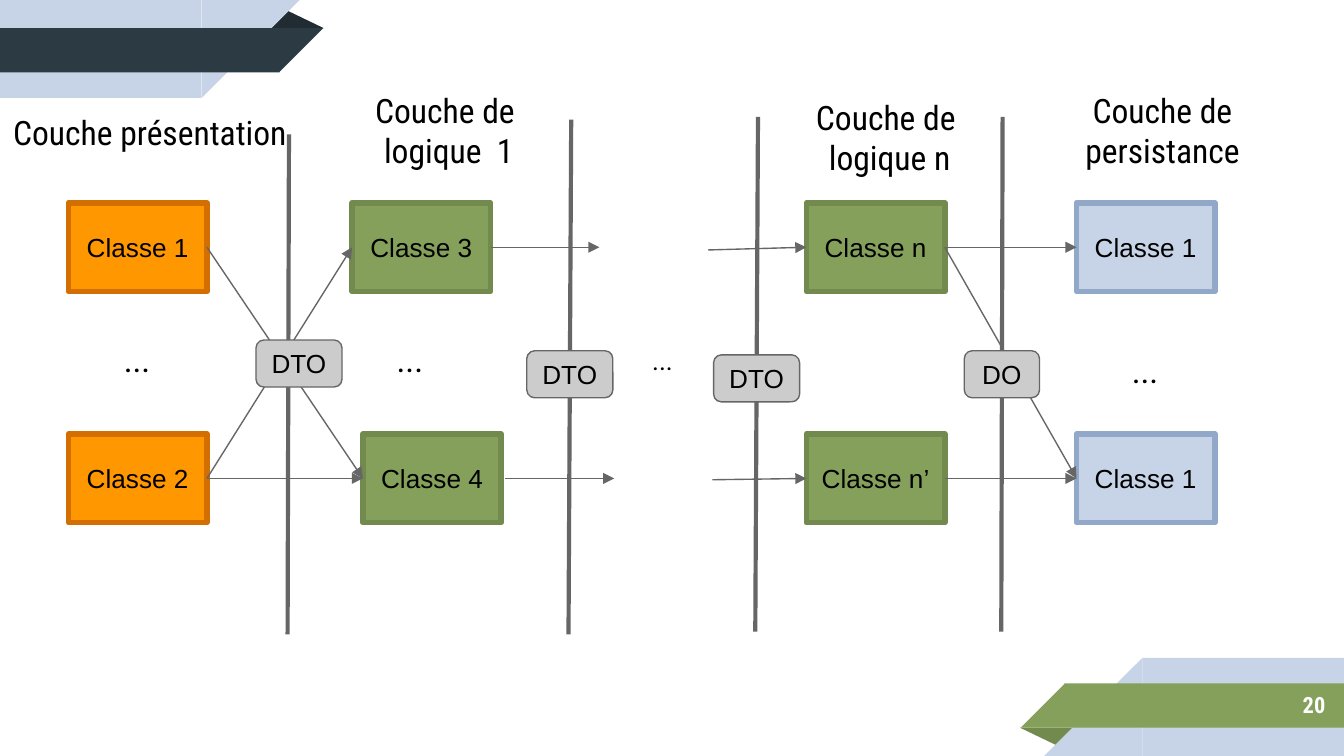
from dataclasses import dataclass

from lxml import etree
from pptx import Presentation
from pptx.dml.color import RGBColor
from pptx.enum.shapes import MSO_CONNECTOR, MSO_SHAPE
from pptx.enum.text import MSO_ANCHOR, PP_ALIGN
from pptx.oxml.ns import qn
from pptx.util import Inches, Pt

LINE = MSO_CONNECTOR.STRAIGHT
RECT, ROUND = MSO_SHAPE.RECTANGLE, MSO_SHAPE.ROUNDED_RECTANGLE
FOLD, WEDGE = MSO_SHAPE.ISOSCELES_TRIANGLE, MSO_SHAPE.RIGHT_TRIANGLE
TOP, MID = MSO_ANCHOR.TOP, MSO_ANCHOR.MIDDLE
LEFT, MIDST, RIGHT = PP_ALIGN.LEFT, PP_ALIGN.CENTER, PP_ALIGN.RIGHT

# Grid: 100 square cells across the slide, 56.25 down
WIDE, HIGH = 100, 56.25
CELL = Inches(10) / WIDE
CARD = 6.6          # card height
UP, LOW = 18.4, 35.6  # middle lines of the two card rows


@dataclass(frozen=True)
class Theme:
    head: str = "Roboto Condensed"
    body: str = "Arial"
    big: float = 18
    mid: float = 14
    small: float = 12
    thin: float = 0.75
    wall: float = 2.25
    edge: float = 3
    ink: str = "000000"
    white: str = "FFFFFF"
    gray: str = "666666"
    tag: str = "CCCCCC"
    pale: str = "C7D3E6"
    dark: tuple = ("2C3B43", "202C32")
    orange: tuple = ("FF9800", "D26F00")
    green: tuple = ("85A05B", "728A4E")
    blue: tuple = ("C7D3E6", "92A8C8")


T = Theme()


def grid(*cells):
    return [round(c * CELL) for c in cells]


def rgb(code):
    return RGBColor.from_string(code)


def write(shape, lines, face, size, align=MIDST, anchor=MID, color=T.ink, bold=False):
    frame = shape.text_frame
    frame.word_wrap = True
    frame.vertical_anchor = anchor
    frame.margin_left = frame.margin_right = Inches(0.1)
    frame.margin_top = frame.margin_bottom = Inches(0.1)
    frame.text = lines
    for para in frame.paragraphs:
        para.alignment = align
        font = para.font
        font.name, font.size, font.bold = face, Pt(size), bold
        font.color.rgb = rgb(color)


def label(slide, box, lines, size=T.big, **look):
    look = {"anchor": TOP, **look}
    write(slide.shapes.add_textbox(*grid(*box)), lines, T.head, size, **look)


def block(slide, kind, box, fill, edge=None, width=T.thin):
    shape = slide.shapes.add_shape(kind, *grid(*box))
    shape.shadow.inherit = False
    shape.fill.solid()
    shape.fill.fore_color.rgb = rgb(fill)
    if edge:
        shape.line.color.rgb = rgb(edge)
        shape.line.width = Pt(width)
    else:
        shape.line.fill.background()
    return shape


def link(slide, ends, width=T.thin, arrow=True):
    line = slide.shapes.add_connector(LINE, *grid(*ends))
    line.line.color.rgb = rgb(T.gray)
    line.line.width = Pt(width)
    props = line.line._get_or_add_ln()
    if arrow:
        etree.SubElement(props, qn("a:tailEnd"), type="triangle")
    etree.SubElement(props.getparent(), qn("a:effectLst"))


def ribbon(slide, box, skin, turn=False):
    """Corner ribbon from the top left; turn rotates it by half a turn."""
    left, top, wide, high = box
    band, shade = skin
    parts = (
        (FOLD, (19.8, 0.7, 4.3, 1.4), shade, 0),
        (RECT, (0, 0, 15, 7.3), T.pale, 0),
        (WEDGE, (15, 0, 7.3, 7.3), T.pale, 90),
        (RECT, (0, 2.1, 20.8, 3.3), band, 0),
        (WEDGE, (20.75, 2.1, 3.3, 3.3), band, 90),
    )
    for kind, (x, y, w, h), fill, angle in parts:
        if turn:
            x, y, angle = wide - x - w, high - y - h, angle + 180
        shape = block(slide, kind, (left + x, top + y, w, h), fill)
        shape.rotation = angle
        if kind == FOLD:
            shape.adjustments[0] = 0.324


def layer(slide, box, head, names, skin, dots=None, lag=0):
    """Heading above two cards, with dots between them."""
    left, top, wide, high = box
    words, dx, dy, align = head
    label(slide, (left + dx, top + dy, 22.4, 7.9), words, align=align)
    spots = ((left, top), (left + lag, top + high - CARD))
    for name, (x, y) in zip(names, spots):
        card = block(slide, RECT, (x, y, wide, CARD), *skin, T.edge)
        write(card, name, T.body, T.mid)
    if dots:
        label(slide, (left + dots[0], top + dots[1], 5.6, 7.9), "...")


def wall(slide, box):
    left, top, wide, high = box
    link(slide, (left + wide, top, left, top + high), T.wall, arrow=False)


def badge(slide, box, name, y, wide=6.4, shift=0):
    """Tag centred on the wall that fills the box."""
    x = box[0] + (box[2] - wide) / 2 + shift
    tag = block(slide, ROUND, (x, y, wide, 3.5), T.tag, T.gray)
    write(tag, name, T.body, T.mid)


def main():
    deck = Presentation()
    deck.slide_width, deck.slide_height = grid(WIDE, HIGH)
    slide = deck.slides.add_slide(deck.slide_layouts[6])

    # Corner ribbons and page number
    ribbon(slide, (0, 0, 24.1, 7.3), T.dark)
    ribbon(slide, (WIDE - 24.1, HIGH - 7.3, 24.1, 7.3), T.green, turn=True)
    label(slide, (83.3, 50.7, 16.3, 3.5), "20", T.small, align=RIGHT,
          anchor=MID, color=T.white, bold=True)

    # Layers
    layers = (
        (5.1, ("Couche présentation", -5.1, -7.8, LEFT),
         ("Classe 1", "Classe 2"), T.orange, (2.3, 9.1), 0),
        (26.2, ("Couche de \nlogique  1", -4, -9.4, MIDST),
         ("Classe 3", "Classe 4"), T.green, (1.5, 9.1), 0.8),
        (60, ("Couche de \nlogique n", -5, -8.9, MIDST),
         ("Classe n", "Classe n’"), T.green, None, 0),
        (80.1, ("Couche de persistance", -4.8, -9.4, MIDST),
         ("Classe 1", "Classe 1"), T.blue, (2.3, 9.9), 0),
    )
    for left, *rest in layers:
        layer(slide, (left, 15.1, 10.3, 23.8), *rest)
    label(slide, (46.5, 24.6, 5.6, 7.9), "...", T.mid)

    # Walls between the layers
    walls = (
        ((21.4, 10, 0.1, 37.2), "DTO", 25.3, 6.4, 0.8),
        ((42.3, 8.9, 0.2, 38.3), "DTO", 26.1),
        ((56.2, 8.7, 0.2, 38.3), "DTO", 26.4),
        ((74.5, 8.7, 0.1, 38.3), "DO", 26.1, 5.6),
    )
    for box, *_ in walls:
        wall(slide, box)

    # Calls from class to class
    calls = (
        (15.4, UP, 27, LOW), (15.4, LOW, 26.2, UP), (15.4, LOW, 27, LOW),
        (36.5, UP, 44.6, UP), (37.6, LOW, 45.7, LOW),
        (52.7, 18.6, 60, UP), (53, 35.7, 60, LOW),
        (70.3, UP, 80.1, UP), (70.3, UP, 80.1, LOW), (70.3, LOW, 80.1, LOW),
    )
    for ends in calls:
        link(slide, ends)

    # Objects passed through the walls
    for tag in walls:
        badge(slide, *tag)

    deck.save("out.pptx")


if __name__ == "__main__":
    main()
